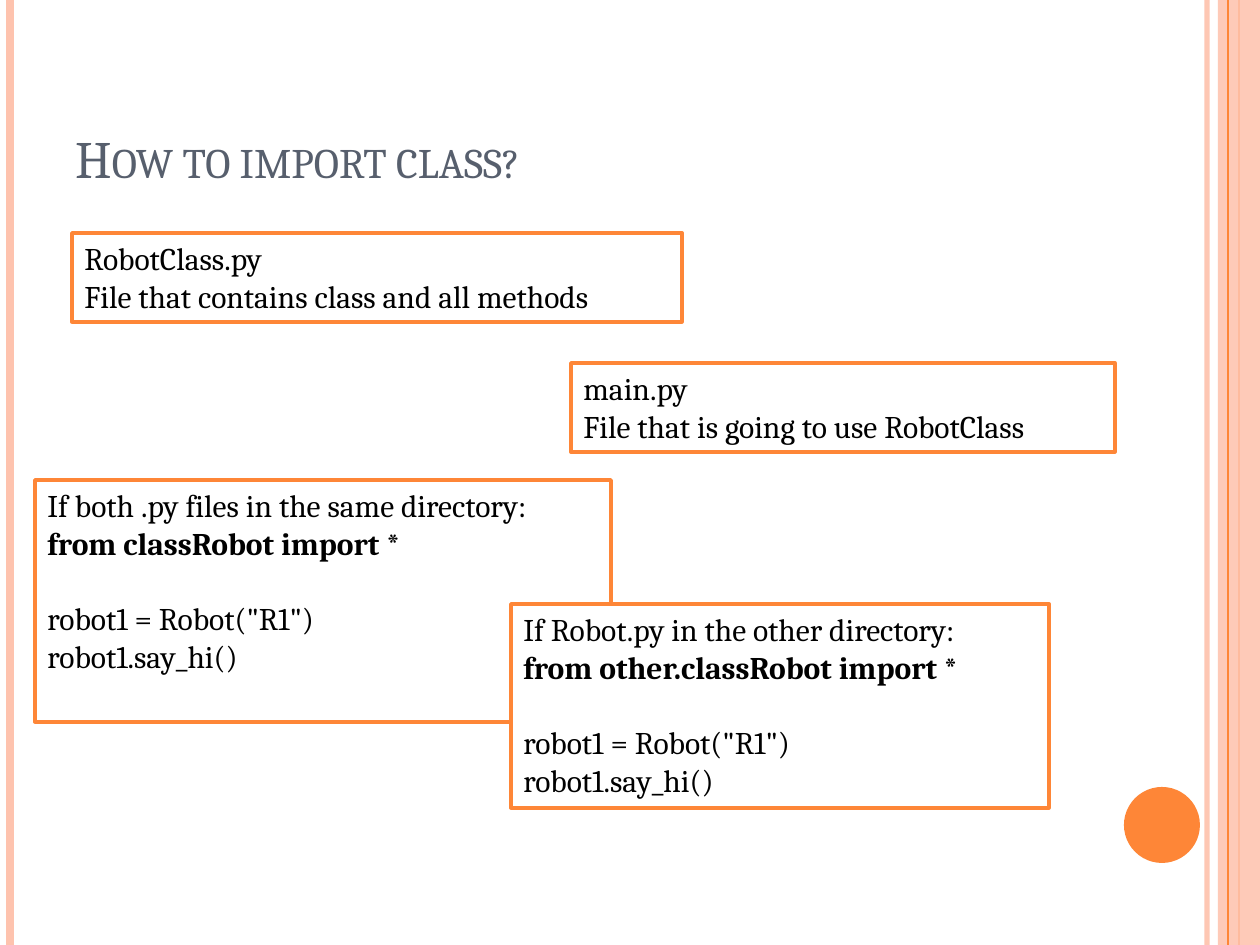
from dataclasses import dataclass

import pptx
import pptx.dml.color
import pptx.enum.shapes
import pptx.enum.text
import pptx.oxml
import pptx.oxml.ns
import pptx.util
from pptx.dml.color import RGBColor

EMU_PER_PIXEL = 914400 / 126
SLIDE_WIDTH, SLIDE_HEIGHT = 1260, 945
FONT = "Cambria"
LINE_HEIGHT = 21.5

ORANGE = RGBColor(0xFE, 0x86, 0x37)
PEACH = RGBColor(0xFE, 0xC3, 0xAE)
SLATE = RGBColor(0x57, 0x5F, 0x6D)
BLACK = RGBColor(0x00, 0x00, 0x00)
WHITE = RGBColor(0xFF, 0xFF, 0xFF)


@dataclass
class Stripe:
    x: int
    weight: float
    color: RGBColor
    opacity: int = 100


@dataclass
class Line:
    text: str
    bold: bool = False
    gap_lines: int = 0


@dataclass
class Box:
    left: int
    top: int
    width: int
    height: int
    lines: list[Line]


USAGE = [Line('robot1 = Robot("R1")', gap_lines=1), Line("robot1.say_hi()")]
STRIPES_BEHIND = [
    Stripe(1207, 3, PEACH, 93),
    Stripe(10, 4.5, PEACH),
    Stripe(1239, 1.5, ORANGE),
]
STRIPE_IN_FRONT = Stripe(1228, 0.75, ORANGE)
BOXES = [
    Box(72, 233, 610, 89, [
        Line("RobotClass.py"),
        Line("File that contains class and all methods"),
    ]),
    Box(571, 363, 544, 89, [
        Line("main.py"),
        Line("File that is going to use RobotClass"),
    ]),
    Box(35, 480, 576, 242, [
        Line("If both .py files in the same directory:"),
        Line("from classRobot import *", bold=True),
        *USAGE,
    ]),
    Box(511, 604, 538, 204, [
        Line("If Robot.py in the other directory:"),
        Line("from other.classRobot import *", bold=True),
        *USAGE,
    ]),
]


def px(pixels: int) -> pptx.util.Emu:
    return pptx.util.Emu(round(pixels * EMU_PER_PIXEL))


def set_opacity(element, percent: int) -> None:
    color = next(element.iter(pptx.oxml.ns.qn("a:srgbClr")))
    alpha = pptx.oxml.parse_xml(
        f'<a:alpha {pptx.oxml.ns.nsdecls("a")} val="{percent * 1000}"/>')
    color.append(alpha)


def add_stripe(slide, stripe: Stripe) -> None:
    connector = slide.shapes.add_connector(
        pptx.enum.shapes.MSO_CONNECTOR.STRAIGHT,
        px(stripe.x), 0, px(stripe.x), px(SLIDE_HEIGHT))
    connector.line.color.rgb = stripe.color
    connector.line.width = pptx.util.Pt(stripe.weight)
    if stripe.opacity < 100:
        set_opacity(connector.element, stripe.opacity)
    connector.element.spPr.append(pptx.oxml.parse_xml(
        f'<a:effectLst {pptx.oxml.ns.nsdecls("a")}/>'))


def add_filled_shape(slide, kind, left: int, top: int, width: int,
                     height: int, fill: RGBColor):
    shape = slide.shapes.add_shape(
        kind, px(left), px(top), px(width), px(height))
    shape.shadow.inherit = False
    shape.fill.solid()
    shape.fill.fore_color.rgb = fill
    shape.line.fill.background()
    return shape


def style(font, size: float, color: RGBColor) -> None:
    font.name = FONT
    font.size = pptx.util.Pt(size)
    font.color.rgb = color


def add_title(slide, text: str) -> None:
    title = slide.shapes.add_textbox(px(63), px(38), px(1029), px(157))
    frame = title.text_frame
    frame.word_wrap = True
    frame.vertical_anchor = pptx.enum.text.MSO_ANCHOR.BOTTOM
    run = frame.paragraphs[0].add_run()
    run.text = text
    style(run.font, 30, SLATE)
    for properties in title.element.iter(pptx.oxml.ns.qn("a:rPr")):
        properties.set("cap", "small")


def add_box(slide, box: Box) -> None:
    shape = add_filled_shape(
        slide, pptx.enum.shapes.MSO_SHAPE.RECTANGLE,
        box.left, box.top, box.width, box.height, WHITE)
    shape.line.color.rgb = ORANGE
    shape.line.width = pptx.util.Pt(2)
    frame = shape.text_frame
    frame.word_wrap = True
    frame.vertical_anchor = pptx.enum.text.MSO_ANCHOR.TOP
    for index, line in enumerate(box.lines):
        paragraph = frame.add_paragraph() if index else frame.paragraphs[0]
        paragraph.text = line.text
        paragraph.alignment = pptx.enum.text.PP_ALIGN.LEFT
        paragraph.space_before = pptx.util.Pt(line.gap_lines * LINE_HEIGHT)
        style(paragraph.font, 18, BLACK)
        paragraph.font.bold = line.bold


presentation = pptx.Presentation()
presentation.slide_width = px(SLIDE_WIDTH)
presentation.slide_height = px(SLIDE_HEIGHT)
slide = presentation.slides.add_slide(presentation.slide_layouts[6])

# Side decoration
for stripe in STRIPES_BEHIND:
    add_stripe(slide, stripe)
band = add_filled_shape(slide, pptx.enum.shapes.MSO_SHAPE.RECTANGLE,
                        1218, 0, 42, SLIDE_HEIGHT, PEACH)
set_opacity(band.element, 87)
add_stripe(slide, STRIPE_IN_FRONT)
add_filled_shape(slide, pptx.enum.shapes.MSO_SHAPE.OVAL,
                 1124, 787, 76, 76, ORANGE)

# Title and code boxes
add_title(slide, "How to import class?")
for box in BOXES:
    add_box(slide, box)

presentation.save("out.pptx")
